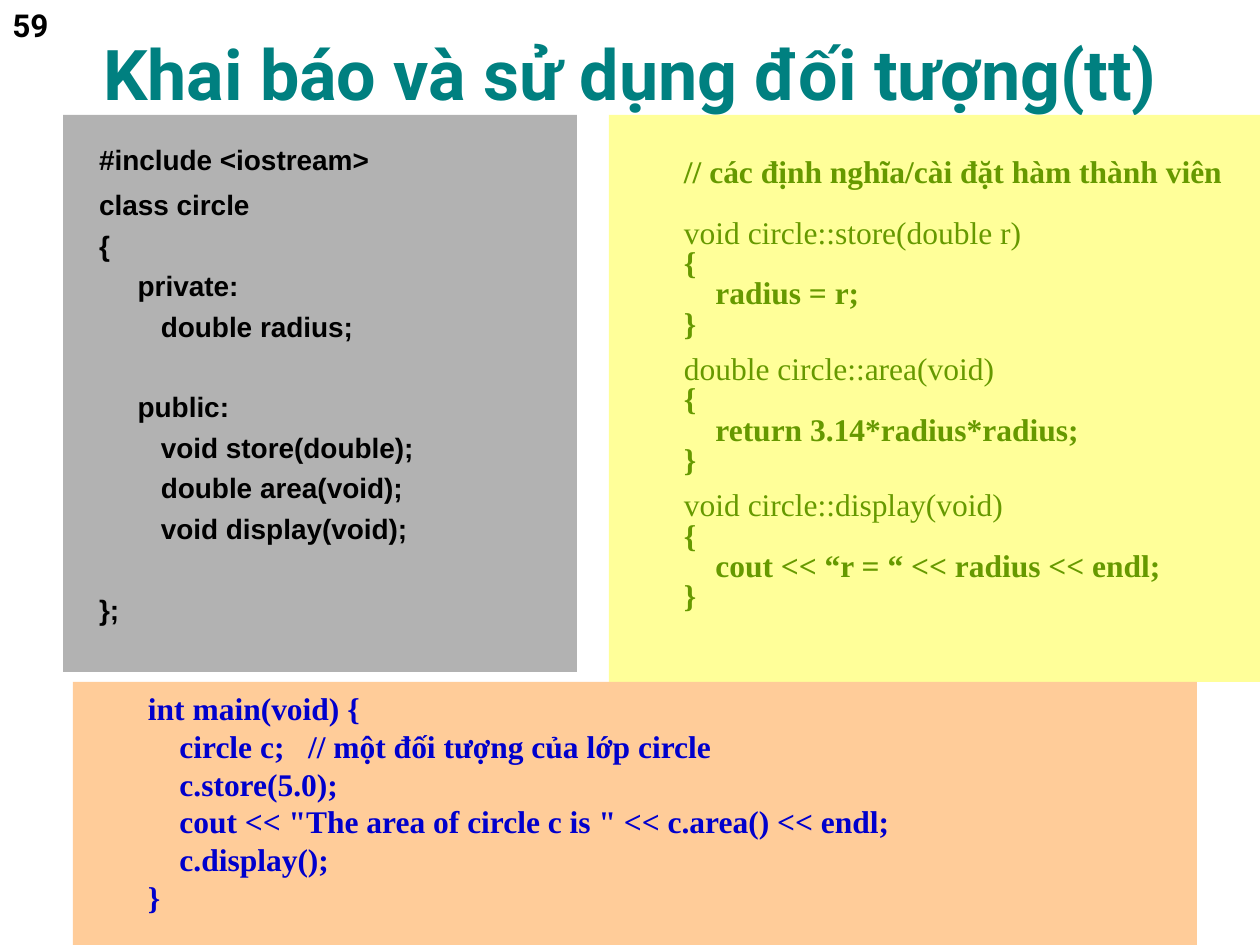
from lxml import etree
from pptx import Presentation
from pptx import util as u
from pptx.dml.color import RGBColor
from pptx.enum import shapes, text
from pptx.oxml.ns import qn

PX = 914400 // 126  # one px in EMU

# Code lines: text, or (text, points of space before)
CLASS = [
    "#include <iostream>",
    ("class circle", 6.6),
    "{",
    "     private:",
    "        double radius;",
    ("     public:", 27.1),
    "        void store(double);",
    "        double area(void);",
    "        void display(void);",
    ("};", 27.1),
]
METHODS = [
    ("void circle::store(double r)", "radius = r;", 17.3),
    ("double circle::area(void)", "return 3.14*radius*radius;", 8.7),
    ("void circle::display(void)", "cout << “r = “ << radius << endl;", 8.7),
]
MAIN = [
    "int main(void) {",
    "    circle c;   // một đối tượng của lớp circle",
    "    c.store(5.0);",
    '    cout << "The area of circle c is " << c.area() << endl;',
    "    c.display();",
    "}",
]


def color(code):
    return RGBColor.from_string(code)


def place(shape, x, y, w, h):
    shape.left, shape.top, shape.width, shape.height = (
        u.Emu(v * PX) for v in (x, y, w, h))


def style(para, face, size, code, bold=True):
    font = para.font
    font.name, font.size, font.bold = face, u.Pt(size), bold
    font.color.rgb = color(code)


def panel(shape, fill, left, top):
    """Fill a code panel and set where its text starts."""
    shape.fill.solid()
    shape.fill.fore_color.rgb = color(fill)
    shape.line.fill.background()
    frame = shape.text_frame
    frame.word_wrap = True
    frame.auto_size = text.MSO_AUTO_SIZE.NONE
    frame.vertical_anchor = text.MSO_ANCHOR.TOP
    frame.margin_left, frame.margin_top = u.Emu(left * PX), u.Emu(top * PX)
    frame.margin_right = 0
    return frame


def rect(slide, box):
    shape = slide.shapes.add_shape(shapes.MSO_SHAPE.RECTANGLE, 0, 0, 0, 0)
    shape.shadow.inherit = False
    place(shape, *box)
    return shape


def code(frame, lines, face, size, tone, pitch, gap=0, light=()):
    """Write code lines at a fixed pitch; those in light are not bold."""
    for i, item in enumerate(lines):
        line, before = item if isinstance(item, tuple) else (item, gap)
        para = frame.add_paragraph() if i else frame.paragraphs[0]
        props = para._p.get_or_add_pPr()
        props.set("marL", "0")
        props.set("indent", "0")
        etree.SubElement(props, qn("a:buNone"))
        para.text = line
        para.alignment = text.PP_ALIGN.LEFT
        para.line_spacing = u.Pt(pitch)
        para.space_before = u.Pt(before if i else 0)
        style(para, face, size, tone, line not in light)


def main():
    prs = Presentation()
    prs.slide_width, prs.slide_height = u.Inches(10), u.Inches(7.5)
    slide = prs.slides.add_slide(prs.slide_layouts[1])

    # Title
    title = slide.shapes.title
    place(title, 0, 21, 1260, 100)
    frame = title.text_frame
    frame.text = "Khai báo và sử dụng đối tượng(tt)"
    frame.auto_size = text.MSO_AUTO_SIZE.NONE
    frame.vertical_anchor = text.MSO_ANCHOR.BOTTOM
    frame.paragraphs[0].alignment = text.PP_ALIGN.CENTER
    style(frame.paragraphs[0], "Roboto", 40, "008080")

    # Class declaration
    body = slide.placeholders[1]
    place(body, 63, 115, 514, 557)
    code(panel(body, "B2B2B2", 36, 28), CLASS, "Arial", 16, "000000", 19.1, 4)

    # Member functions
    lines = ["// các định nghĩa/cài đặt hàm thành viên"]
    for head, step, gap in METHODS:
        lines += [(head, gap), "{", "    " + step, "}"]
    frame = panel(rect(slide, (609, 115, 651, 567)), "FFFF99", 75, 45)
    code(frame, lines, "Times New Roman", 18, "669900", 17.3,
         light=[head for head, _, _ in METHODS])

    # Main program
    frame = panel(rect(slide, (73, 682, 1124, 263)), "FFCC99", 75, 7)
    code(frame, MAIN, "Times New Roman", 18, "0000CC", 21.6)

    # Page number
    page = slide.shapes.add_textbox(0, 0, 0, 0)
    place(page, 0, 0, 136, 55)
    page.text_frame.word_wrap = True
    page.text_frame.text = "59"
    style(page.text_frame.paragraphs[0], "Roboto", 18, "000000")

    prs.save("out.pptx")


if __name__ == "__main__":
    main()
